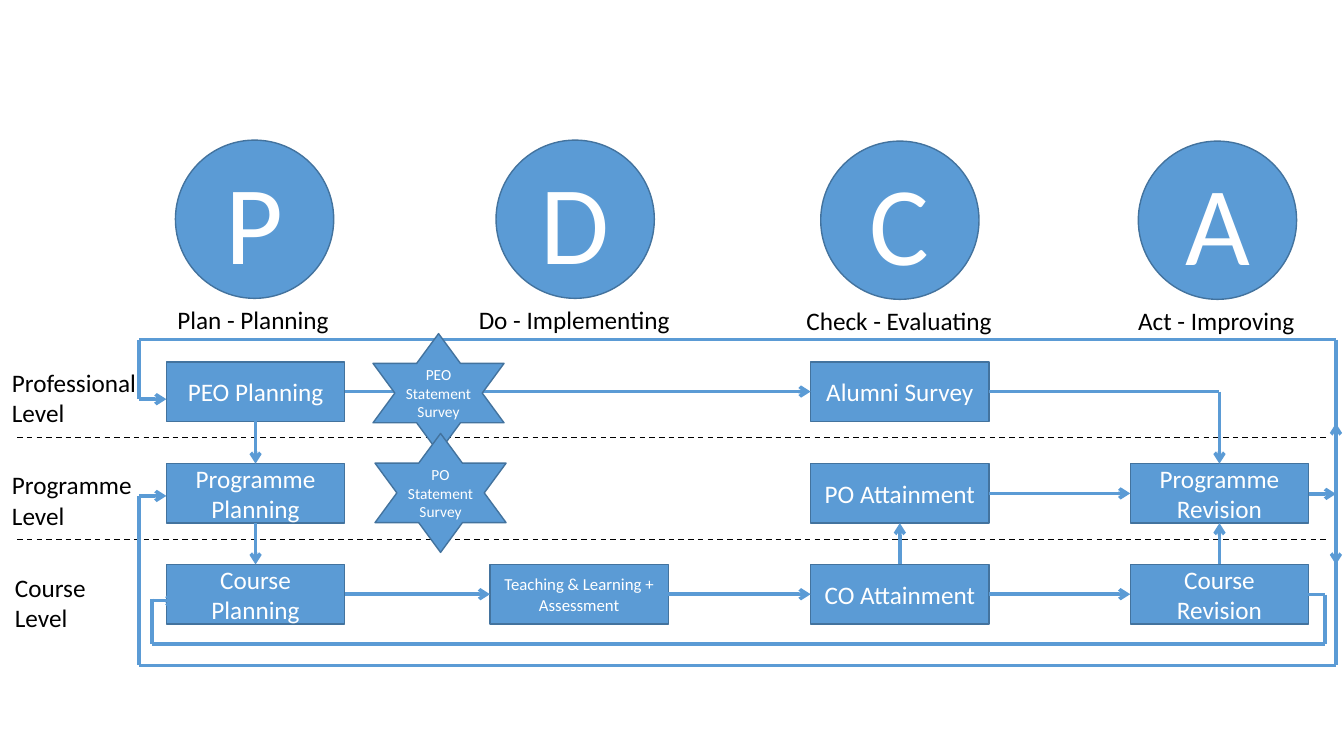
import pptx
import pptx.util
import pptx.dml.color
import pptx.enum.dml
import pptx.enum.shapes
import pptx.enum.text
import pptx.oxml.ns
import lxml.etree

Inches = pptx.util.Inches
SHAPE = pptx.enum.shapes.MSO_SHAPE
BLUE, EDGE, BLACK, WHITE = "5B9BD5", "43739E", "000000", "FFFFFF"
BOX_W, BOX_H = 1.77, 0.59
TOP, LEFT, BOTTOM, RIGHT = range(4)


def color(value):
    """Turn a hex string into a colour."""
    return pptx.dml.color.RGBColor.from_string(value)


def write(sp, text, size=18, fill=BLACK, center=False, wrap=True):
    """Put formatted text into a shape."""
    tf = sp.text_frame
    tf.word_wrap = wrap
    p = tf.paragraphs[0]
    if center:
        p.alignment = pptx.enum.text.PP_ALIGN.CENTER
        tf.vertical_anchor = pptx.enum.text.MSO_ANCHOR.MIDDLE
    r = p.add_run()
    r.text = text
    r.font.name = "Calibri"
    r.font.size = pptx.util.Pt(size)
    r.font.color.rgb = color(fill)


def label(shapes, text, x, y, w, h, wrap=True):
    """Add a plain text box that grows with its text."""
    sp = shapes.add_textbox(Inches(x), Inches(y), Inches(w), Inches(h))
    write(sp, text, wrap=wrap)
    sp.text_frame.auto_size = pptx.enum.text.MSO_AUTO_SIZE.SHAPE_TO_FIT_TEXT


def block(shapes, kind, text, x, y, w, h, size=18):
    """Add a blue shape with centred white text."""
    sp = shapes.add_shape(kind, Inches(x), Inches(y), Inches(w), Inches(h))
    sp.shadow.inherit = False
    sp.fill.solid()
    sp.fill.fore_color.rgb = color(BLUE)
    sp.line.color.rgb = color(EDGE)
    sp.line.width = pptx.util.Pt(1)
    write(sp, text, size=size, fill=WHITE, center=True)
    return sp


def line(s, x1, y1, x2, y2, arrow=False, stroke=BLUE, width=2.5, dash=False):
    """Draw a straight line, with an arrowhead or dashes if asked."""
    c = s.shapes.add_connector(pptx.enum.shapes.MSO_CONNECTOR.STRAIGHT,
                               Inches(x1), Inches(y1), Inches(x2), Inches(y2))
    c.line.color.rgb = color(stroke)
    c.line.width = pptx.util.Pt(width)
    if dash:
        c.line.dash_style = pptx.enum.dml.MSO_LINE.DASH
    qn = pptx.oxml.ns.qn
    if arrow:
        lxml.etree.SubElement(c.line._get_or_add_ln(), qn("a:tailEnd"), type="arrow")
    lxml.etree.SubElement(c._element.spPr, qn("a:effectLst"))
    return c


def link(s, start, start_side, end, end_side):
    """Join two boxes with an arrow."""
    c = line(s, 0, 0, 1, 1, arrow=True)
    c.begin_connect(start, start_side)
    c.end_connect(end, end_side)


def stage(s, letter, caption, x, y, caption_x, caption_w):
    """Group a stage circle with the caption below it."""
    shapes = s.shapes.add_group_shape().shapes
    block(shapes, SHAPE.OVAL, letter, x, y, 1.57, 1.57, size=80)
    label(shapes, caption, caption_x, y + 1.58, caption_w, 0.4, wrap=False)


def level_labels(s, x, y, pitch):
    """Name the three levels down the left side."""
    levels = [("Professional Level", 0, 1.46), ("Programme Level", 0, 1.42),
              ("Course Level", 0.03, 1.07)]
    for i, (text, dx, w) in enumerate(levels):
        label(s.shapes, text, x + dx, y + i * pitch, w, 0.71)


def process_grid(s, cols, rows):
    """Place the process boxes, the level dividers and the arrows between them."""
    names = {
        (0, 0): "PEO Planning", (1, 0): "Programme Planning", (2, 0): "Course Planning",
        (0, 2): "Alumni Survey", (1, 2): "PO Attainment", (2, 2): "CO Attainment",
        (2, 1): "Teaching & Learning + Assessment",
        (2, 3): "Course Revision", (1, 3): "Programme Revision",
    }
    boxes = {}
    for (row, col), text in names.items():
        boxes[row, col] = block(s.shapes, SHAPE.RECTANGLE, text, cols[col], rows[row],
                                BOX_W, BOX_H, size=12 if col == 1 else 18)
    for row in rows[:2]:
        line(s, 0.17, row + 0.75, 13.16, row + 0.75, stroke=BLACK, width=1, dash=True)
    across = [((0, 0), (0, 2)), ((1, 2), (1, 3))]
    across += [((2, col), (2, col + 1)) for col in range(3)]
    for start, end in across:
        link(s, boxes[start], RIGHT, boxes[end], LEFT)
    for row in (0, 1):
        link(s, boxes[row, 0], BOTTOM, boxes[row + 1, 0], TOP)
    for col in (2, 3):
        link(s, boxes[2, col], TOP, boxes[1, col], BOTTOM)
    turn_x, turn_y = cols[3] + BOX_W / 2, rows[0] + BOX_H / 2
    line(s, cols[2] + BOX_W, turn_y, turn_x, turn_y)
    line(s, turn_x, turn_y, turn_x, rows[1], arrow=True)


def outer_loop(s, x, y, w, h):
    """Return programme revision to the two upper planning levels."""
    right, bottom = x + w, y + h
    line(s, x, y, right, y)
    line(s, x, bottom, right, bottom)
    line(s, right, y, right, bottom)
    line(s, x, y, x, y + 0.59)
    line(s, x, y + 1.55, x, bottom)
    for dy in (0.59, 1.55):
        line(s, x, y + dy, x + 0.27, y + dy, arrow=True)
    line(s, right - 0.27, y + 1.53, right, y + 1.53, arrow=True)
    line(s, right, y + 1.47, right, y + 0.83, arrow=True)
    line(s, right, y + 1.59, right, y + 2.23, arrow=True)


def inner_loop(s, x, y, w, h):
    """Return course revision to course planning."""
    right, bottom = x + w, y + h
    line(s, x, bottom, right, bottom)
    line(s, right, y, right, bottom)
    line(s, x, y + 0.04, x, bottom)
    line(s, x, y + 0.06, x + 0.25, y + 0.06, arrow=True)
    line(s, right - 0.17, y, right, y)


def surveys(s, x, y):
    """Place the two survey stars."""
    for i, name in enumerate(("PEO", "PO")):
        block(s.shapes, SHAPE.STAR_6_POINT, f"{name} Statement Survey",
              x + i * 0.02, y + i * 0.99, 1.3, 1.18, size=11)


def main():
    """Build and save the slide."""
    prs = pptx.Presentation()
    prs.slide_width, prs.slide_height = Inches(13.33), Inches(7.5)
    s = prs.slides.add_slide(prs.slide_layouts[6])
    level_labels(s, 0.02, 3.59, 1.02)
    stage(s, "P", "Plan - Planning", 1.74, 1.39, 1.66, 1.72)
    stage(s, "D", "Do - Implementing", 4.92, 1.39, 4.65, 2.12)
    stage(s, "C", "Check - Evaluating", 8.14, 1.4, 7.9, 2.06)
    stage(s, "A", "Act - Improving", 11.29, 1.4, 11.19, 1.77)
    process_grid(s, (1.65, 4.86, 8.04, 11.21), (3.59, 4.6, 5.6))
    outer_loop(s, 1.38, 3.37, 11.87, 3.23)
    inner_loop(s, 1.51, 5.9, 11.63, 0.49)
    surveys(s, 3.7, 3.31)
    prs.save("out.pptx")


if __name__ == "__main__":
    main()
